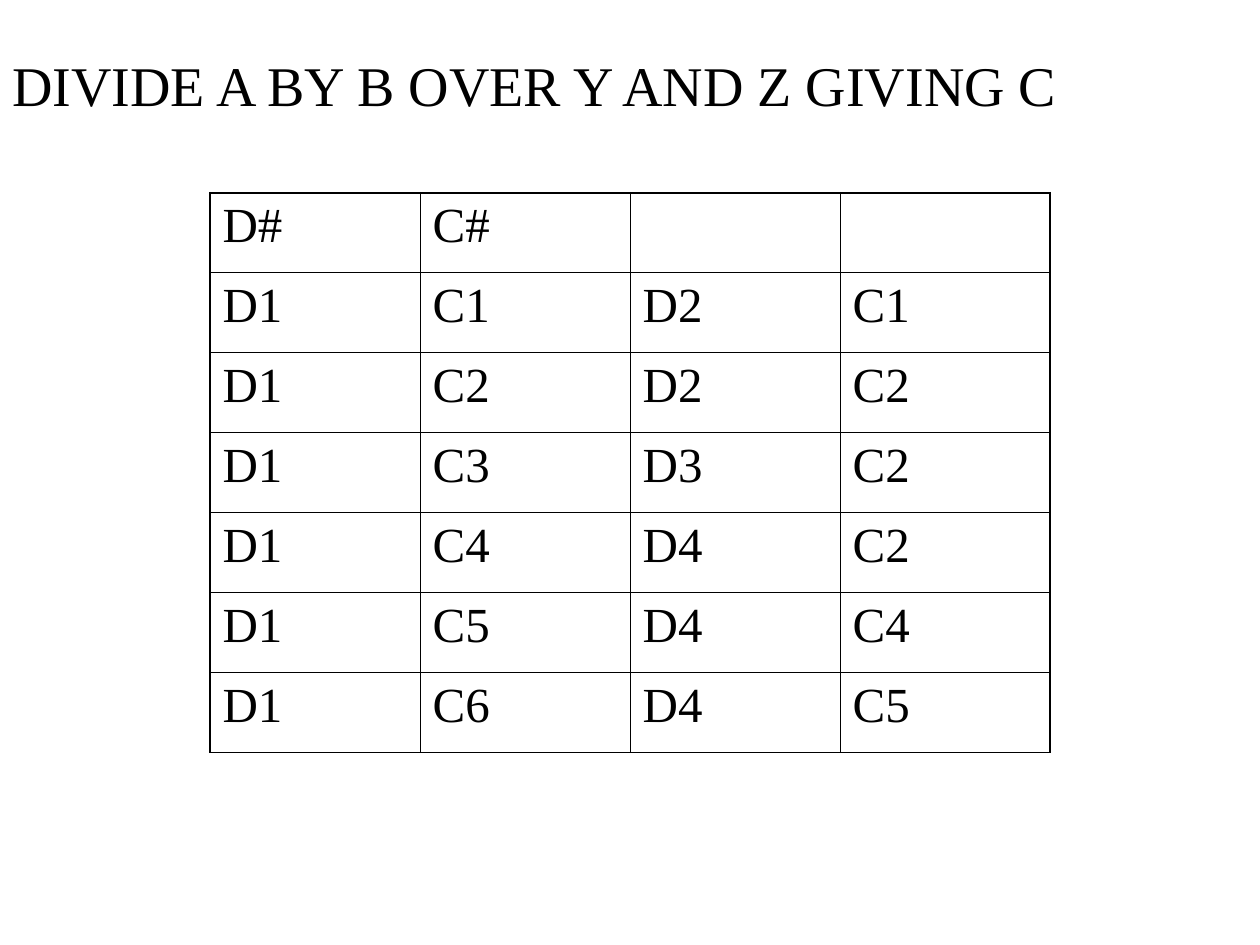
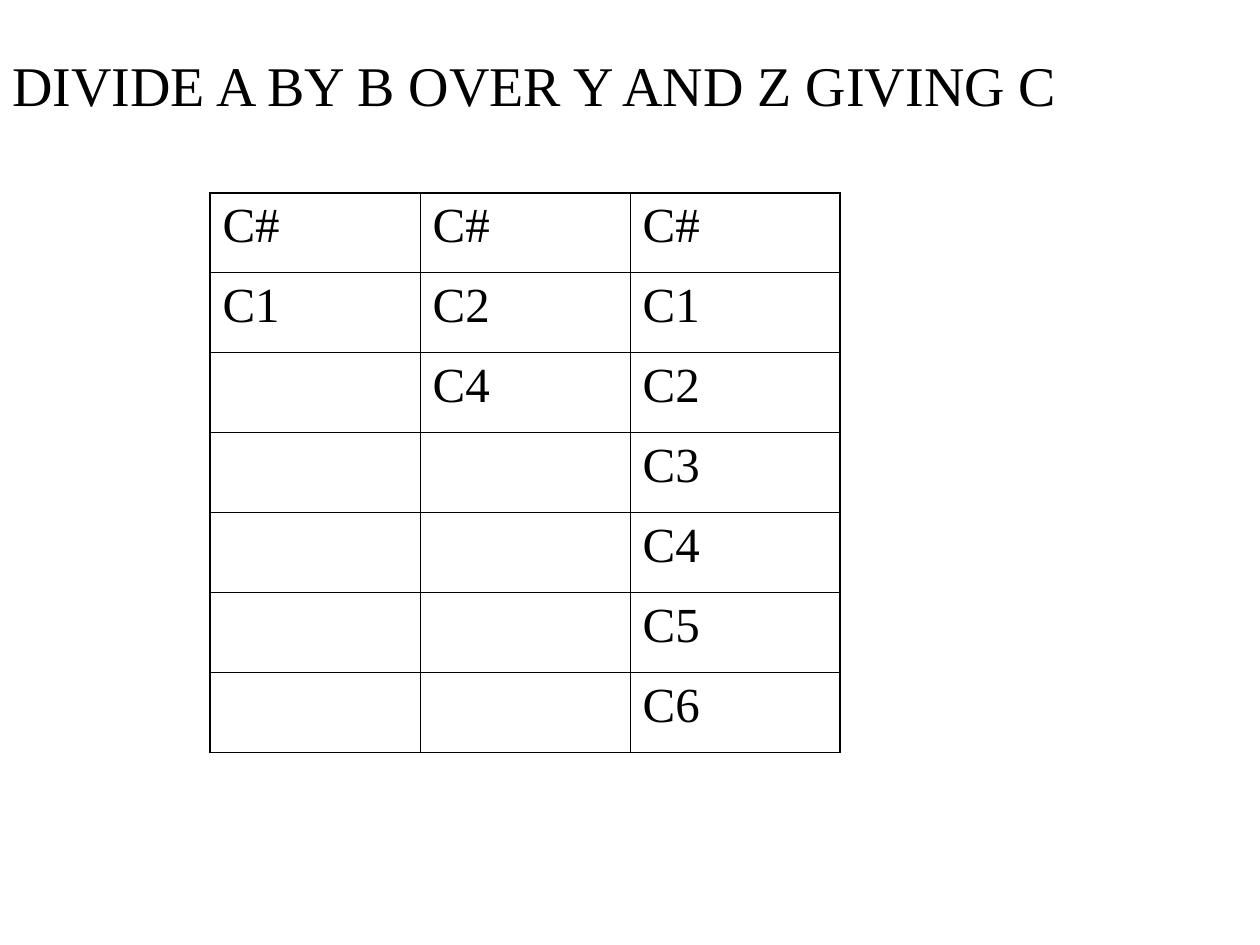
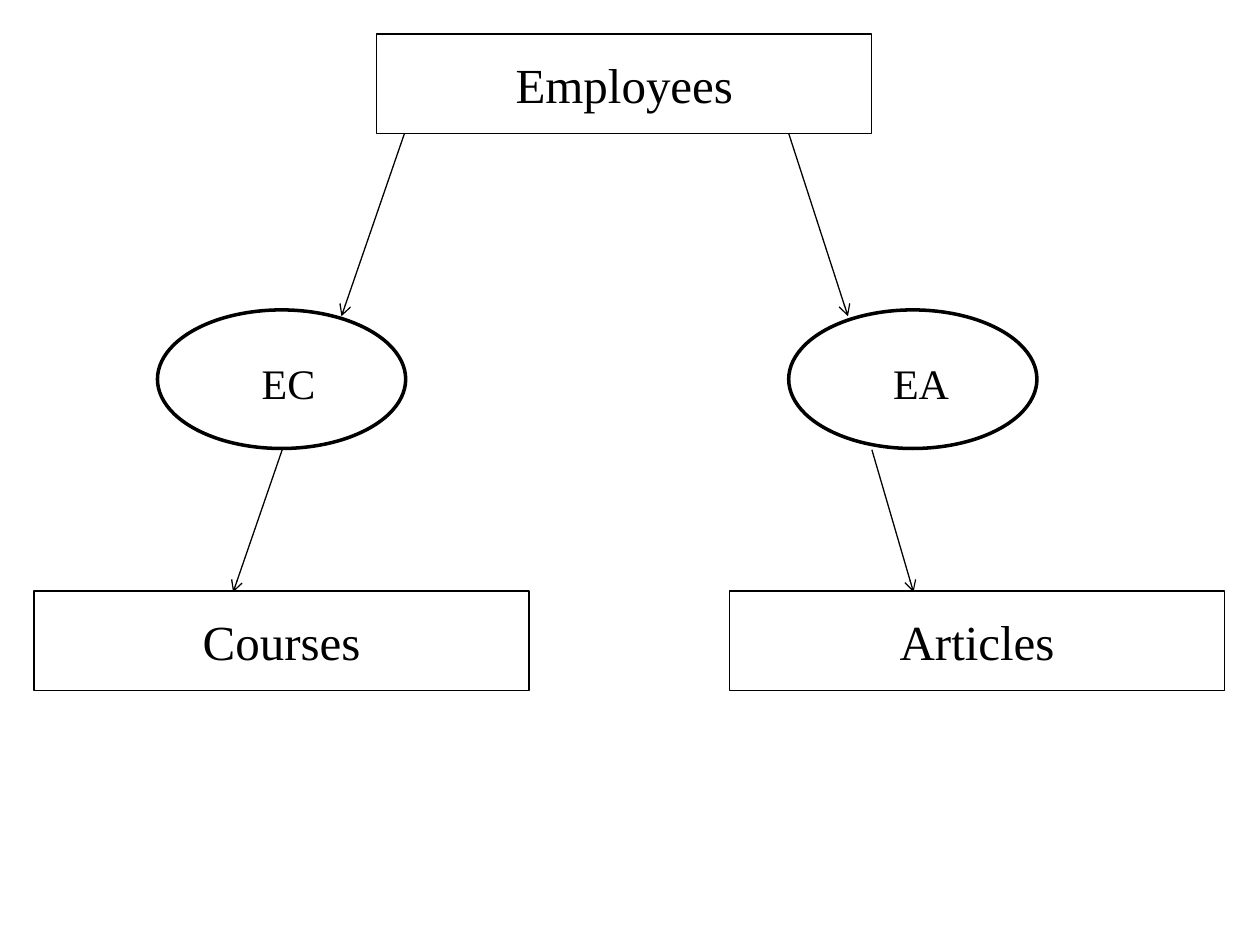
from lxml.etree import SubElement
from pptx import Presentation
from pptx.dml.color import RGBColor
from pptx.enum.shapes import MSO_CONNECTOR as Connector, MSO_SHAPE as Shape
from pptx.enum.text import MSO_ANCHOR as Anchor, PP_ALIGN as Align
from pptx.oxml.ns import qn
from pptx.util import Inches, Pt

WIDTH, HEIGHT = Inches(10), Inches(7.5)
COLUMNS, ROWS = 100, 75
INK = "000000"
FONT = "Times New Roman"
THIN, OUTER, BOLD, FINE = 0.45, 1.08, 2, 0.75
TITLE = "DIVIDE A BY B OVER Y AND Z GIVING C"
TABLE_LEFT, TABLE_TOP = 16.67, 15.3
CELL_WIDTH, CELL_HEIGHT = 16.67, 6.35
BOX_SIZE = (39.3, 7.9)
OVAL_SIZE = (19.7, 11)
LABEL_SIZE = (8.6, 5)

DIVIDEND = [
    ["D#", "C#", "", ""],
    ["D1", "C1", "D2", "C1"],
    ["D1", "C2", "D2", "C2"],
    ["D1", "C3", "D3", "C2"],
    ["D1", "C4", "D4", "C2"],
    ["D1", "C5", "D4", "C4"],
    ["D1", "C6", "D4", "C5"],
]
DIVISORS = [
    ["C#", "C#", "C#"],
    ["C1", "C2", "C1"],
    ["", "C4", "C2"],
    ["", "", "C3"],
    ["", "", "C4"],
    ["", "", "C5"],
    ["", "", "C6"],
]
ENTITIES = [("Employees", 29.9, 2.7), ("Courses", 2.7, 46.9), ("Articles", 57.9, 46.9)]
RELATIONS = [("EC", 12.5, 18.6), ("EA", 62.6, 68.8)]
ARROWS = [
    ((32.1, 10.6), (27.1, 25.1)),
    ((22.4, 35.7), (18.5, 47)),
    ((62.6, 10.6), (67.3, 25.1)),
    ((69.2, 35.7), (72.5, 47)),
]


def color(hex_text):
    """Turn a hex string into a colour."""
    return RGBColor.from_string(hex_text)


def grid(column, row):
    """Turn grid columns and rows into slide lengths."""
    return round(WIDTH * column / COLUMNS), round(HEIGHT * row / ROWS)


def write(frame, words, size, align=Align.LEFT):
    """Put one styled paragraph into a text frame."""
    frame.word_wrap = True
    paragraph = frame.paragraphs[0]
    paragraph.text = words
    paragraph.alignment = align
    paragraph.font.name = FONT
    paragraph.font.size = Pt(size)
    paragraph.font.color.rgb = color(INK)
    return paragraph


def add_title(slide, words):
    """Add the slide's heading with its hanging indent."""
    frame = slide.shapes.add_textbox(*grid(0, 2.8), *grid(100, 72.2)).text_frame
    frame.margin_top = Inches(0.12)
    properties = write(frame, words, 32)._p.get_or_add_pPr()
    properties.set("marL", str(Inches(0.38)))
    properties.set("indent", str(-Inches(0.38)))


def add_border(cell, side, weight):
    """Draw one side of a table cell."""
    line = SubElement(cell._tc.get_or_add_tcPr(), qn(f"a:ln{side}"), w=str(Pt(weight)))
    fill = SubElement(line, qn("a:solidFill"))
    SubElement(fill, qn("a:srgbClr"), val=INK)


def add_relation_table(slide, records):
    """Add a ruled table with a heavier outer frame."""
    height, width = len(records), len(records[0])
    table = slide.shapes.add_table(
        height, width, *grid(TABLE_LEFT, TABLE_TOP),
        *grid(CELL_WIDTH * width, CELL_HEIGHT * height)).table
    table.first_row = table.horz_banding = False
    for column in table.columns:
        column.width = grid(CELL_WIDTH, 0)[0]
    for r, record in enumerate(records):
        table.rows[r].height = grid(0, CELL_HEIGHT)[1]
        for c, words in enumerate(record):
            cell = table.cell(r, c)
            write(cell.text_frame, words, 28)
            on_edge = {"L": c == 0, "R": c == width - 1, "T": r == 0, "B": r == height - 1}
            for side, outside in on_edge.items():
                add_border(cell, side, OUTER if outside else THIN)
            cell.fill.background()


def add_outline(slide, preset, place, size, weight):
    """Add an unfilled preset shape."""
    outline = slide.shapes.add_shape(preset, *grid(*place), *grid(*size))
    outline.shadow.inherit = False
    outline.fill.background()
    outline.line.color.rgb = color(INK)
    outline.line.width = Pt(weight)
    return outline


def add_entity(slide, words, left, top):
    """Add a named rectangle."""
    box = add_outline(slide, Shape.RECTANGLE, (left, top), BOX_SIZE, FINE)
    box.text_frame.vertical_anchor = Anchor.MIDDLE
    write(box.text_frame, words, 28, Align.CENTER)


def add_relation(slide, words, left, label_left):
    """Add an ellipse and the label on it."""
    add_outline(slide, Shape.OVAL, (left, 24.6), OVAL_SIZE, BOLD)
    frame = slide.shapes.add_textbox(*grid(label_left, 27.6), *grid(*LABEL_SIZE)).text_frame
    frame.margin_top, frame.margin_bottom = Inches(0.08), Inches(0.03)
    write(frame, words, 24, Align.CENTER)


def add_arrow(slide, start, end):
    """Add a thin line with an open head at its end."""
    arrow = slide.shapes.add_connector(Connector.STRAIGHT, *grid(*start), *grid(*end))
    arrow.line.color.rgb = color(INK)
    arrow.line.width = Pt(FINE)
    SubElement(arrow.line._get_or_add_ln(), qn("a:tailEnd"), type="arrow")
    SubElement(arrow._element.spPr, qn("a:effectLst"))


def main():
    """Build the two table slides and the diagram."""
    deck = Presentation()
    deck.slide_width, deck.slide_height = WIDTH, HEIGHT
    blank = deck.slide_layouts[6]
    for records in (DIVIDEND, DIVISORS):
        slide = deck.slides.add_slide(blank)
        add_title(slide, TITLE)
        add_relation_table(slide, records)
    diagram = deck.slides.add_slide(blank)
    for entity in ENTITIES:
        add_entity(diagram, *entity)
    for relation in RELATIONS:
        add_relation(diagram, *relation)
    for start, end in ARROWS:
        add_arrow(diagram, start, end)
    deck.save("out.pptx")


main()
